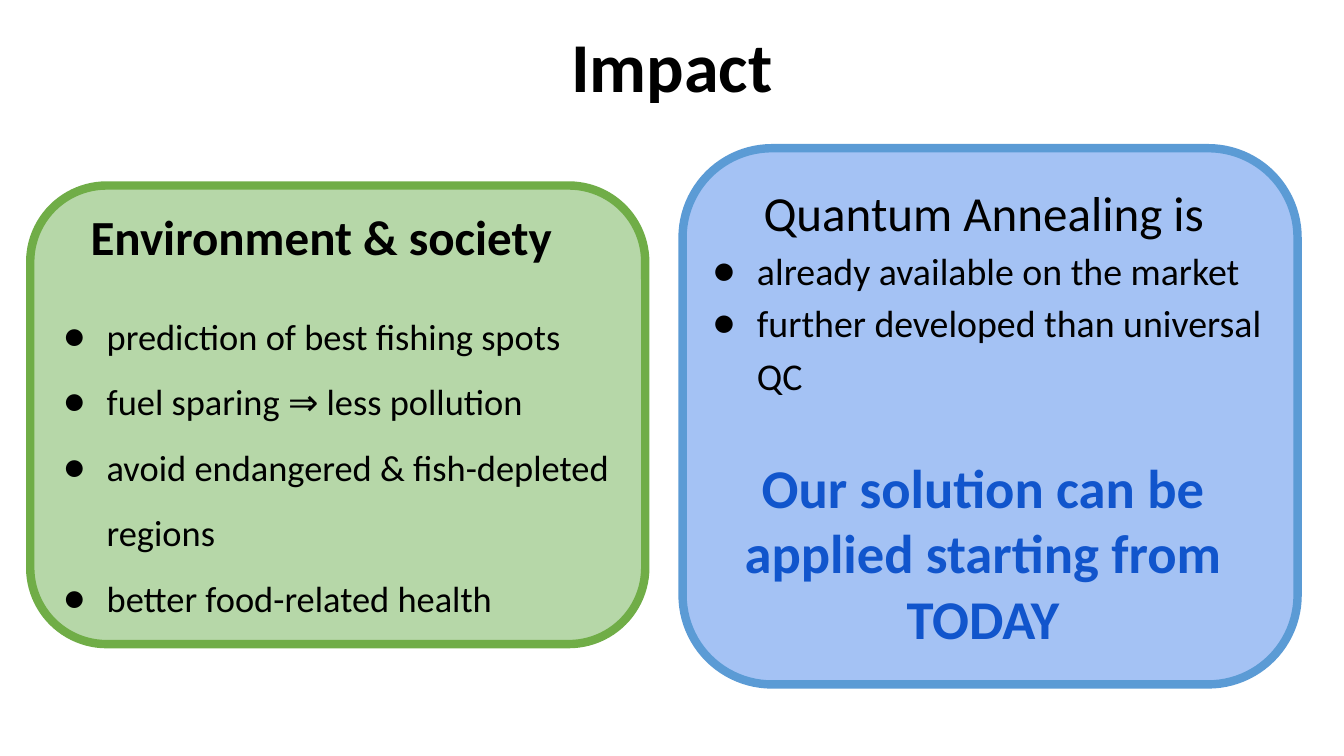
from lxml.etree import SubElement
from pptx import Presentation
from pptx.dml.color import RGBColor
from pptx.enum.shapes import MSO_SHAPE
from pptx.enum.text import MSO_ANCHOR, PP_ALIGN
from pptx.oxml.ns import qn
from pptx.util import Inches, Pt

BLACK = RGBColor(0x00, 0x00, 0x00)
STRONG_BLUE = RGBColor(0x11, 0x55, 0xCC)
BLUE_FILL = RGBColor(0xA4, 0xC2, 0xF4)
BLUE_LINE = RGBColor(0x5B, 0x9B, 0xD5)
GREEN_FILL = RGBColor(0xB6, 0xD7, 0xA8)
GREEN_LINE = RGBColor(0x70, 0xAD, 0x47)
FONT = "Calibri"

TITLE = "Impact"
MARKET_HEADING = "Quantum Annealing is"
MARKET_POINTS = [
    "already available on the market",
    "further developed than universal QC",
]
CONCLUSION = "Our solution can be applied starting from TODAY"
SOCIETY_HEADING = "Environment & society"
SOCIETY_POINTS = [
    "prediction of best fishing spots",
    "fuel sparing ⇒ less pollution",
    "avoid endangered & fish-depleted regions",
    "better food-related health",
]


def style(paragraph, size, color=BLACK, bold=False, align=PP_ALIGN.LEFT):
    paragraph.alignment = align
    for run in paragraph.runs:
        run.font.name = FONT
        run.font.size = Pt(size)
        run.font.bold = bold
        run.font.color.rgb = color


def add_bullet(paragraph, hanging, spacing):
    properties = paragraph._p.get_or_add_pPr()
    properties.set("marL", str(Inches(0.5)))
    properties.set("indent", str(-Inches(hanging)))
    bullet_color = SubElement(properties, qn("a:buClr"))
    SubElement(bullet_color, qn("a:srgbClr"), val=str(BLACK))
    SubElement(properties, qn("a:buFont"), typeface=FONT)
    SubElement(properties, qn("a:buChar"), char="●")
    paragraph.line_spacing = spacing


def add_panel(slide, box, fill, line):
    panel = slide.shapes.add_shape(MSO_SHAPE.ROUNDED_RECTANGLE, *map(Inches, box))
    panel.shadow.inherit = False
    panel.fill.solid()
    panel.fill.fore_color.rgb = fill
    panel.line.color.rgb = line
    panel.line.width = Pt(6)


def add_text(slide, box, lines):
    text_frame = slide.shapes.add_textbox(*map(Inches, box)).text_frame
    text_frame.word_wrap = True
    text_frame.margin_top = text_frame.margin_bottom = Inches(0.1)
    text_frame.text = "\n".join(lines)
    return text_frame.paragraphs


def add_points(paragraphs, size, hanging, spacing):
    for paragraph in paragraphs:
        add_bullet(paragraph, hanging, spacing)
        style(paragraph, size)


def main():
    presentation = Presentation()
    presentation.slide_width = Inches(13.33)
    presentation.slide_height = Inches(7.5)
    slide = presentation.slides.add_slide(presentation.slide_layouts[5])

    title = slide.shapes.title
    title.left, title.top, title.width, title.height = map(Inches, (0.38, 0.17, 12.57, 0.94))
    title.text_frame.text = TITLE
    title.text_frame.vertical_anchor = MSO_ANCHOR.TOP
    style(title.text_frame.paragraphs[0], 50, bold=True, align=PP_ALIGN.CENTER)

    add_panel(slide, (6.77, 1.47, 6.1, 5.32), BLUE_FILL, BLUE_LINE)
    heading, *points = add_text(slide, (6.91, 1.71, 5.7, 2.17), [MARKET_HEADING, *MARKET_POINTS])
    style(heading, 35, align=PP_ALIGN.CENTER)
    add_points(points, 27, 0.44, 1.15)
    conclusion = add_text(slide, (7.13, 4.4, 5.24, 2.17), [CONCLUSION])[0]
    style(conclusion, 39, STRONG_BLUE, bold=True, align=PP_ALIGN.CENTER)

    add_panel(slide, (0.3, 1.84, 6.1, 4.55), GREEN_FILL, GREEN_LINE)
    heading = add_text(slide, (0.8, 1.95, 5.24, 1.38), [SOCIETY_HEADING])[0]
    style(heading, 35, bold=True)
    points = add_text(slide, (0.46, 2.8, 5.93, 3.27), SOCIETY_POINTS)
    add_points(points, 26, 0.43, 1.5)

    presentation.save("out.pptx")


if __name__ == "__main__":
    main()
